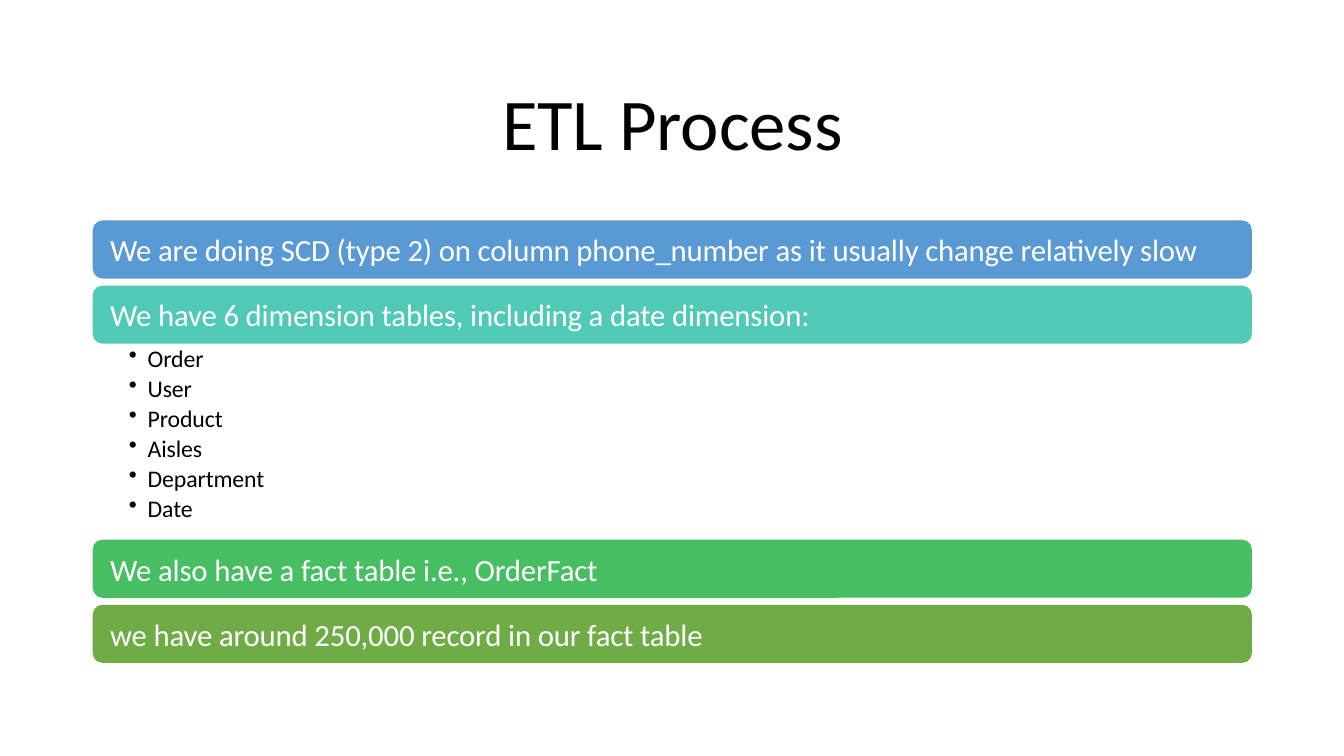
from pptx import Presentation
from pptx.dml.color import RGBColor
from pptx.enum.shapes import MSO_SHAPE as Shape
from pptx.enum.text import MSO_ANCHOR as Anchor, PP_ALIGN as Align
from pptx.oxml.xmlchemy import OxmlElement
from pptx.util import Pt

COLORS = {
    "text": "000000",
    "bar_text": "FFFFFF",
    "blue": "5A9AD4",
    "teal": "51C9B7",
    "green": "48BE63",
    "olive": "6FAC46",
}
BARS = [
    (157.5, "blue", "We are doing SCD (type 2) on column phone_number as it usually change relatively slow"),
    (204, "teal", "We have 6 dimension tables, including a date dimension:"),
    (385.5, "green", "We also have a fact table i.e., OrderFact"),
    (432, "olive", "we have around 250,000 record in our fact table"),
]
DIMENSIONS = ["Order", "User", "Product", "Aisles", "Department", "Date"]
BAR_LEFT, BAR_WIDTH, BAR_HEIGHT = 66.25, 828, 41.5
BAR_RADIUS = 6.9


def style_text(frame, size, color, align=Align.LEFT, inset=0):
    """Set the insets, alignment and font of all text in a frame."""
    frame.word_wrap = True
    frame.margin_left = frame.margin_right = Pt(inset)
    frame.margin_top = frame.margin_bottom = 0
    for para in frame.paragraphs:
        para.alignment = align
        for span in para.runs:
            span.font.name = "Calibri"
            span.font.size = Pt(size)
            span.font.color.rgb = RGBColor.from_string(COLORS[color])
            span._r.get_or_add_rPr().set("spc", "-10")


def add_title(slide, text):
    """Add the centred slide title."""
    box = slide.shapes.add_textbox(Pt(BAR_LEFT), Pt(55.5), Pt(BAR_WIDTH), Pt(64))
    box.text_frame.text = text
    style_text(box.text_frame, 52, "text", Align.CENTER)


def add_bar(slide, top, fill, text):
    """Add a rounded bar that holds one statement."""
    bar = slide.shapes.add_shape(
        Shape.ROUNDED_RECTANGLE, Pt(BAR_LEFT), Pt(top), Pt(BAR_WIDTH), Pt(BAR_HEIGHT))
    bar.adjustments[0] = BAR_RADIUS / BAR_HEIGHT
    bar.shadow.inherit = False
    bar.fill.solid()
    bar.fill.fore_color.rgb = RGBColor.from_string(COLORS[fill])
    bar.line.fill.background()
    bar.text_frame.text = text
    bar.text_frame.vertical_anchor = Anchor.MIDDLE
    style_text(bar.text_frame, 22, "bar_text", inset=10.5)


def add_bullets(slide, items):
    """Add the bulleted list of dimension tables."""
    box = slide.shapes.add_textbox(Pt(92), Pt(245.25), Pt(400), Pt(131))
    box.text_frame.text = "\n".join(items)
    style_text(box.text_frame, 17, "text")
    for para in box.text_frame.paragraphs:
        para.space_after = Pt(1.1)
        properties = para._p.get_or_add_pPr()
        properties.set("marL", str(Pt(13.5)))
        properties.set("indent", str(-Pt(13.5)))
        bullet = OxmlElement("a:buChar")
        bullet.set("char", "•")
        properties.append(bullet)


def main():
    """Build the slide and save the deck."""
    deck = Presentation()
    deck.slide_width, deck.slide_height = Pt(960), Pt(540)
    slide = deck.slides.add_slide(deck.slide_layouts[6])
    add_title(slide, "ETL Process")
    for top, fill, text in BARS:
        add_bar(slide, top, fill, text)
    add_bullets(slide, DIMENSIONS)
    deck.save("out.pptx")


if __name__ == "__main__":
    main()
